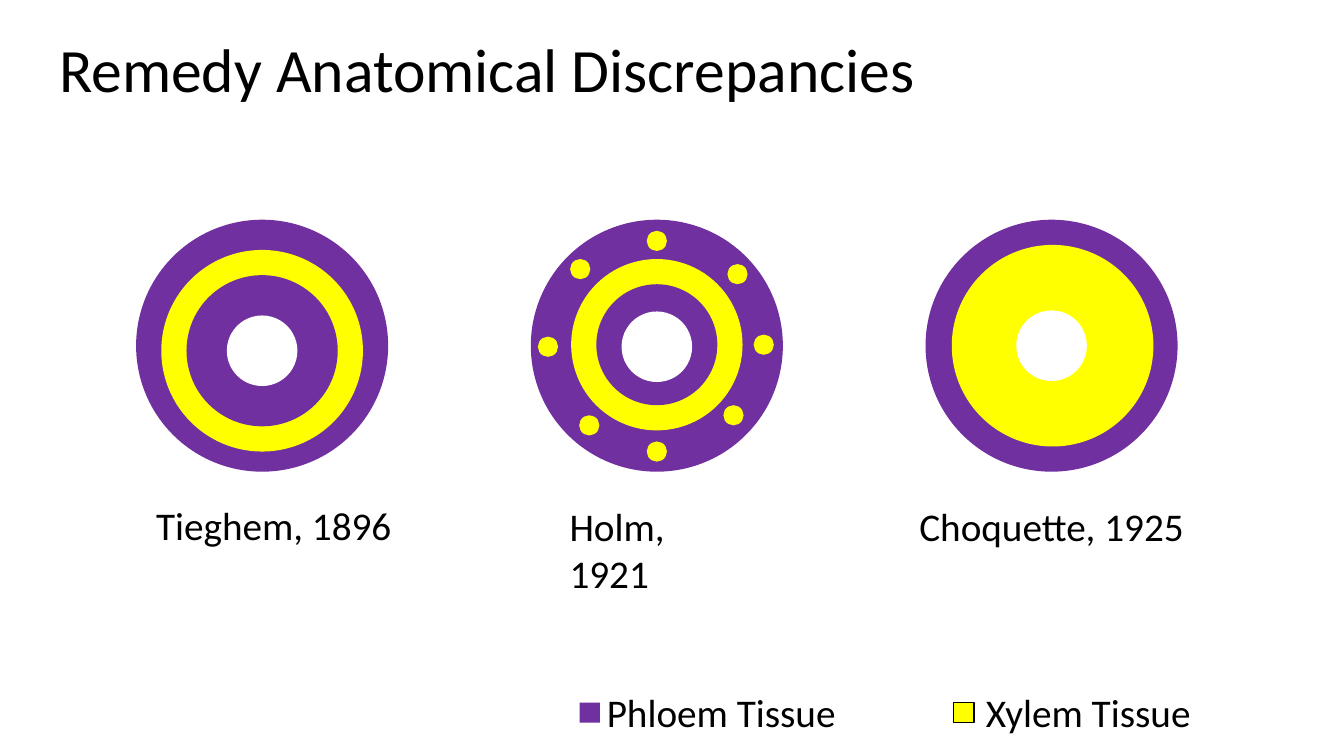
"""Builds a slide comparing three historical stem cross-sections by tissue type."""
import dataclasses

import pptx
import pptx.dml.color
import pptx.enum.shapes
import pptx.enum.text
import pptx.util

SHAPE = pptx.enum.shapes.MSO_SHAPE
ALIGN = pptx.enum.text.PP_ALIGN
ANCHOR = pptx.enum.text.MSO_ANCHOR
AUTO_SIZE = pptx.enum.text.MSO_AUTO_SIZE


@dataclasses.dataclass(frozen=True)
class Theme:
    font: str = "Calibri"
    title_size: int = 44
    label_size: int = 28
    text: str = "000000"
    phloem: str = "7030A0"
    xylem: str = "FFFF00"
    pith: str = "FFFFFF"


THEME = Theme()
CELL = 0.1
FIRST_COL, STEM_PITCH, STEM_ROW = 26, 39.15, 34.3
STEM_SIZE, PITH_SIZE, DOT_SIZE = 25, 7, 2
LABEL_ROWS = 5.7

STEMS = [
    {
        "caption": ("Tieghem, 1896", 14.5, 49.2, 27.3),
        "rings": [
            (STEM_SIZE, THEME.phloem, 0, 0),
            (20, THEME.xylem, 0, 0.5),
            (15, THEME.phloem, 0, 0.5),
            (PITH_SIZE, THEME.pith, 0, 0.5),
        ],
        "dots": [],
    },
    {
        "caption": ("Holm, 1921", 55.5, 49.3, 19.2),
        "rings": [
            (STEM_SIZE, THEME.phloem, 0, 0),
            (17, THEME.xylem, 0, -0.1),
            (12, THEME.phloem, 0, -0.1),
            (PITH_SIZE, THEME.pith, 0, 0.1),
        ],
        "dots": [
            (0, -10.4), (8, -7.1), (10.6, -0.1), (7.6, 6.9),
            (0, 10.5), (-6.7, 7.9), (-10.8, 0.1), (-7.6, -7.6),
        ],
    },
    {
        "caption": ("Choquette, 1925", 90.2, 49.3, 28.5),
        "rings": [
            (STEM_SIZE, THEME.phloem, 0, 0),
            (20, THEME.xylem, 0.1, 0),
            (PITH_SIZE, THEME.pith, 0, 0),
        ],
        "dots": [],
    },
]

LEGEND = [
    ("Phloem Tissue", THEME.phloem, None, 57.5, 59.2, 25.6),
    ("Xylem Tissue", THEME.xylem, THEME.text, 94.6, 96.8, 23.5),
]


def cells(count):
    return pptx.util.Inches(count * CELL)


def rgb(value):
    return pptx.dml.color.RGBColor.from_string(value)


def add_run(p, text, size):
    r = p.add_run()
    r.text = text
    r.font.name = THEME.font
    r.font.size = pptx.util.Pt(size)
    r.font.color.rgb = rgb(THEME.text)


def set_title(s, text):
    sp = s.shapes.title
    sp.left, sp.top = cells(0), cells(-0.1)
    sp.width, sp.height = cells(96.7), cells(14.5)
    tf = sp.text_frame
    tf.word_wrap = True
    tf.auto_size = AUTO_SIZE.NONE
    tf.vertical_anchor = ANCHOR.MIDDLE
    p = tf.paragraphs[0]
    p.alignment = ALIGN.CENTER
    p.line_spacing = 0.9
    add_run(p, text, THEME.title_size)


def add_label(s, text, col, row, cols):
    sp = s.shapes.add_textbox(cells(col), cells(row), cells(cols), cells(LABEL_ROWS))
    tf = sp.text_frame
    tf.word_wrap = True
    tf.auto_size = AUTO_SIZE.SHAPE_TO_FIT_TEXT
    add_run(tf.paragraphs[0], text, THEME.label_size)


def add_tissue(s, kind, col, row, size, fill, line=None):
    sp = s.shapes.add_shape(kind, cells(col), cells(row), cells(size), cells(size))
    sp.shadow.inherit = False
    sp.fill.solid()
    sp.fill.fore_color.rgb = rgb(fill)
    if line:
        sp.line.color.rgb = rgb(line)
        sp.line.width = pptx.util.Pt(1)
    else:
        sp.line.fill.background()


def add_disc(s, center_col, center_row, size, fill):
    add_tissue(s, SHAPE.OVAL, center_col - size / 2, center_row - size / 2, size, fill)


def add_stem(s, center_col, stem):
    for size, fill, dx, dy in stem["rings"]:
        add_disc(s, center_col + dx, STEM_ROW + dy, size, fill)
    for dx, dy in stem["dots"]:
        add_disc(s, center_col + dx, STEM_ROW + dy, DOT_SIZE, THEME.xylem)
    add_label(s, *stem["caption"])


def main():
    prs = pptx.Presentation()
    prs.slide_width = pptx.util.Inches(13.33)
    prs.slide_height = pptx.util.Inches(7.5)
    s = prs.slides.add_slide(prs.slide_layouts[5])
    set_title(s, "Remedy Anatomical Discrepancies")
    for index, stem in enumerate(STEMS):
        add_stem(s, FIRST_COL + index * STEM_PITCH, stem)
    for text, fill, line, key_col, text_col, cols in LEGEND:
        add_tissue(s, SHAPE.RECTANGLE, key_col, 69.7, 2, fill, line)
        add_label(s, text, text_col, 67.8, cols)
    prs.save("out.pptx")


if __name__ == "__main__":
    main()
